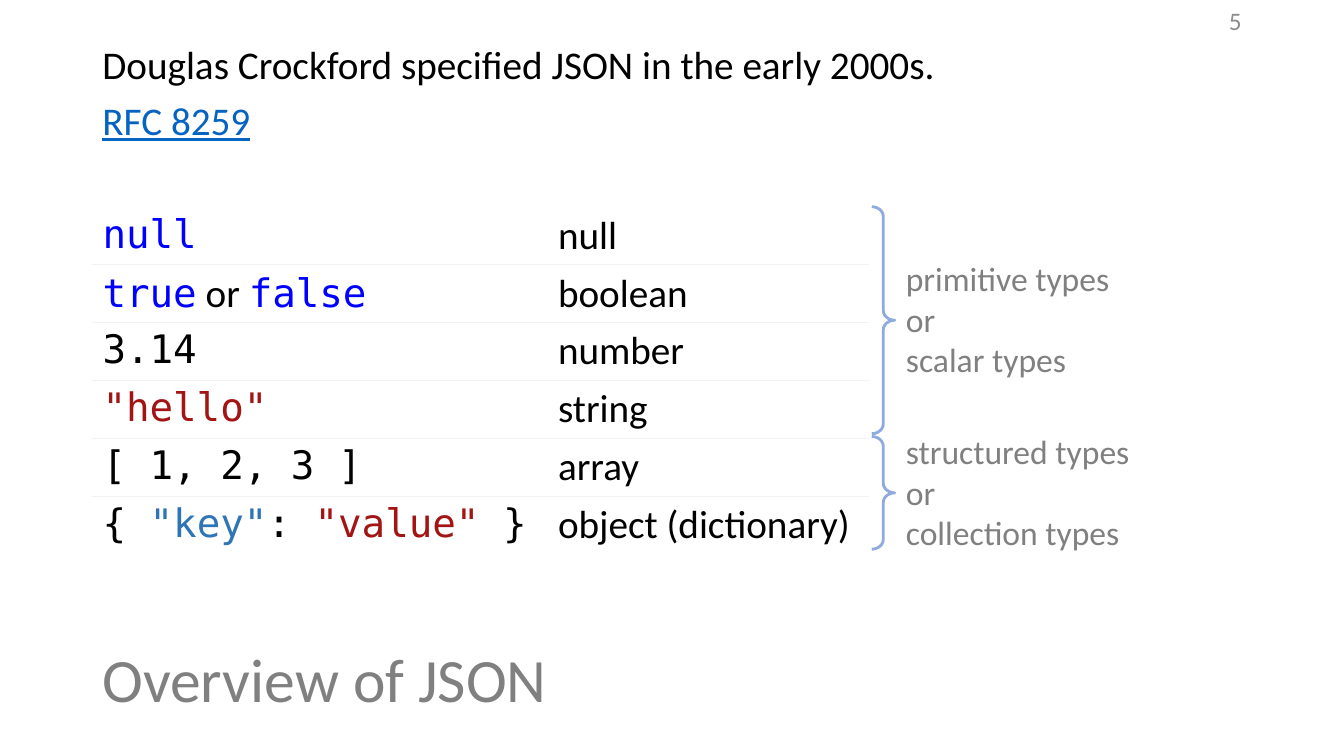
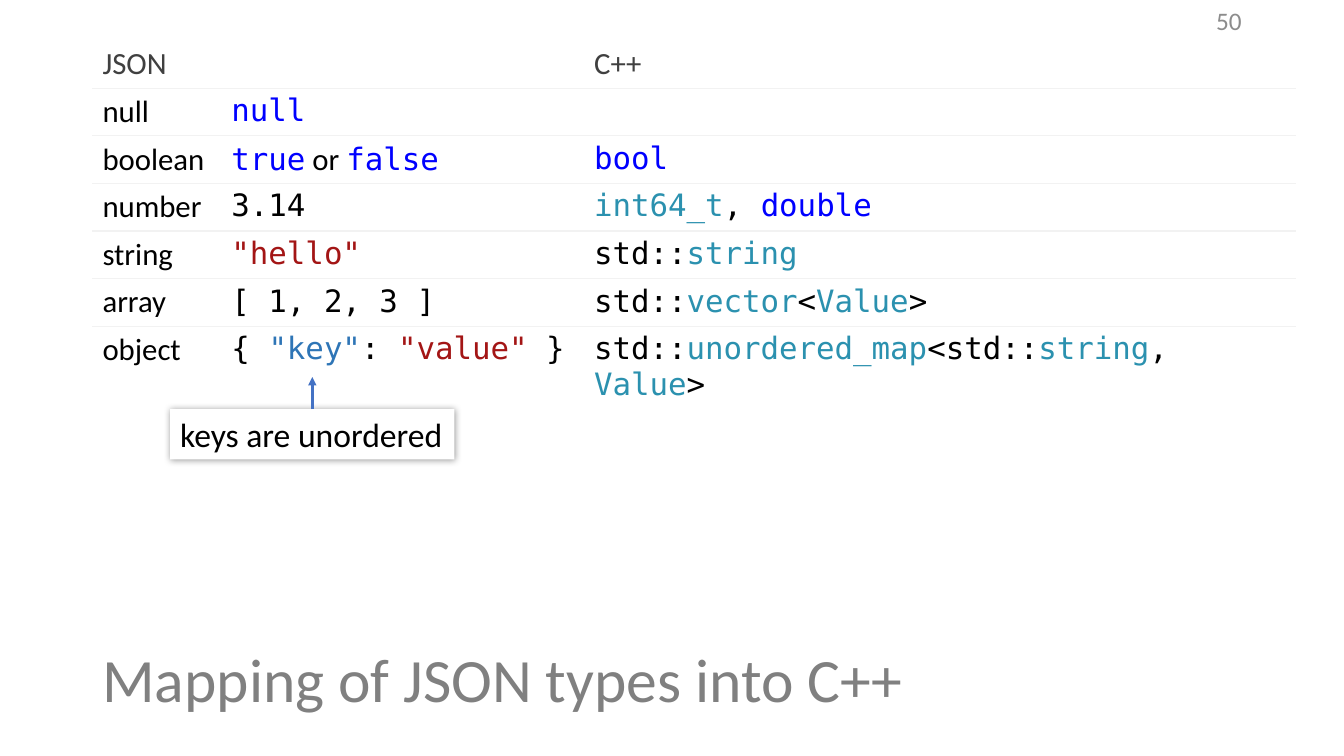
from dataclasses import dataclass
from typing import Optional

from lxml.etree import SubElement
from pptx import Presentation
from pptx.dml.color import RGBColor
from pptx.enum.shapes import MSO_CONNECTOR, MSO_SHAPE
from pptx.enum.text import MSO_ANCHOR, PP_ALIGN
from pptx.oxml.ns import qn
from pptx.util import Cm, Pt

# Colours and fonts
BLACK = RGBColor(0x00, 0x00, 0x00)
WHITE = RGBColor(0xFF, 0xFF, 0xFF)
GRAY = RGBColor(0x80, 0x80, 0x80)
DARK_GRAY = RGBColor(0x40, 0x40, 0x40)
NUMBER_GRAY = RGBColor(0x8C, 0x8C, 0x8C)
RULE_GRAY = RGBColor(0xF2, 0xF2, 0xF2)
LINK = RGBColor(0x05, 0x63, 0xC1)
KEYWORD = RGBColor(0x00, 0x00, 0xFF)
STRING = RGBColor(0xA3, 0x15, 0x15)
KEY = RGBColor(0x2E, 0x75, 0xB6)
TYPE = RGBColor(0x2B, 0x91, 0xAF)
BRACE = RGBColor(0x8F, 0xAA, 0xDC)
ARROW = RGBColor(0x44, 0x72, 0xC4)
SANS, MONO = "Calibri", "DejaVu Sans Mono"

# Shared geometry, in centimetres
LEFT = 2.33
TOP = 1.02
BODY_W = 29.21


@dataclass(frozen=True)
class Run:
    text: str
    color: RGBColor = BLACK
    font: str = SANS
    underline: Optional[bool] = None

    @property
    def style(self):
        return self.font, self.color, self.underline


@dataclass(frozen=True)
class Brace:
    top: float
    height: float
    label_top: float
    label_width: float
    label: tuple[str, ...]


Cell = list[Run]


def code(text: str, color: RGBColor = BLACK) -> Run:
    return Run(text, color, MONO)


# JSON values used on both slides
SAMPLES: dict[str, Cell] = {
    "null": [code("null", KEYWORD)],
    "boolean": [code("true", KEYWORD), Run(" or "), code("false", KEYWORD)],
    "number": [code("3.14")],
    "string": [code('"hello"', STRING)],
    "array": [code("[ 1, 2, 3 ]")],
    "object": [code("{ "), code('"key"', KEY), code(": "),
               code('"value"', STRING), code(" }")],
}

CPP_TYPES: dict[str, Cell] = {
    "null": [],
    "boolean": [code("bool", KEYWORD)],
    "number": [code("int64_t", TYPE), code(", "), code("double", KEYWORD)],
    "string": [code("std::"), code("string", TYPE)],
    "array": [code("std::"), code("vector", TYPE), code("<"),
              code("Value", TYPE), code(">")],
    "object": [code("std::"), code("unordered_map", TYPE), code("<std::"),
               code("string", TYPE), code(", "), code("Value", TYPE), code(">")],
}

BRACES = [
    Brace(5.21, 5.72, 6.38, 5.66, ("primitive types", "or", "scalar types")),
    Brace(11, 2.84, 10.74, 6.17, ("structured types", "or", "collection types")),
]


# Text helpers
def set_font(font, run: Run, size: float) -> None:
    font.name, font.size, font.underline = run.font, Pt(size), run.underline
    font.color.rgb = run.color


def write(p, runs: Cell, size: float) -> None:
    uniform = len({run.style for run in runs}) == 1
    if uniform:
        set_font(p.font, runs[0], size)
    for run in runs:
        r = p.add_run()
        r.text = run.text
        if not uniform:
            set_font(r.font, run, size)


def write_lines(tf, lines: list[Cell], size: float, spacing: Optional[float] = None,
                before: float = 0, align=PP_ALIGN.LEFT) -> None:
    for i, runs in enumerate(lines):
        p = tf.add_paragraph() if i else tf.paragraphs[0]
        p.alignment = align
        if spacing:
            p.line_spacing = spacing
        if i and before:
            p.space_before = Pt(before)
        write(p, runs, size)


def add_text(s, left: float, top: float, width: float, height: float,
             lines: list[Cell], size: float, anchor=MSO_ANCHOR.TOP,
             wrap: bool = True, **layout) -> None:
    tf = s.shapes.add_textbox(Cm(left), Cm(top), Cm(width), Cm(height)).text_frame
    tf.word_wrap = wrap
    tf.vertical_anchor = anchor
    write_lines(tf, lines, size, **layout)


# Slide frame: title at the bottom, number at the top right
def add_slide(prs, title: str, number: int):
    s = prs.slides.add_slide(prs.slide_layouts[6])
    add_text(s, LEFT, 15.37, BODY_W, 3.68, [[Run(title, GRAY)]], 44,
             MSO_ANCHOR.MIDDLE, spacing=0.9)
    add_text(s, 23.92, 0, 7.62, TOP, [[Run(str(number), NUMBER_GRAY)]], 18,
             MSO_ANCHOR.MIDDLE, align=PP_ALIGN.RIGHT)
    return s


# Table with thin rules between the rows only
def set_borders(cell, above: bool, below: bool) -> None:
    tcPr = cell._tc.get_or_add_tcPr()
    sides = {"a:lnL": False, "a:lnR": False, "a:lnT": above, "a:lnB": below}
    for i, (tag, visible) in enumerate(sides.items()):
        ln = tcPr.makeelement(qn(tag), {"w": str(Pt(1))})
        tcPr.insert(i, ln)
        if visible:
            fill = SubElement(ln, qn("a:solidFill"))
            SubElement(fill, qn("a:srgbClr"), val=str(RULE_GRAY))
        else:
            SubElement(ln, qn("a:noFill"))


def add_ruled_table(s, top: float, widths: list[float], row_height: float,
                    rows: list[list[Cell]], size: float) -> None:
    frame = s.shapes.add_table(len(rows), len(widths), Cm(LEFT), Cm(top),
                               Cm(sum(widths)), Cm(row_height * len(rows)))
    table = frame.table
    table.first_row = table.horz_banding = False
    for column, width in zip(table.columns, widths):
        column.width = Cm(width)
    for i, row in enumerate(rows):
        table.rows[i].height = Cm(row_height)
        for j, runs in enumerate(row):
            cell = table.cell(i, j)
            cell.fill.background()
            set_borders(cell, i > 0, i < len(rows) - 1)
            write(cell.text_frame.paragraphs[0], runs, size)


def add_brace(s, brace: Brace) -> None:
    sp = s.shapes.add_shape(MSO_SHAPE.RIGHT_BRACE, Cm(21.97), Cm(brace.top),
                            Cm(0.58), Cm(brace.height))
    sp.shadow.inherit = False
    sp.adjustments[0] = 0.42
    sp.fill.background()
    sp.line.color.rgb = BRACE
    sp.line.width = Pt(2)
    add_text(s, 22.58, brace.label_top, brace.label_width, 3.33,
             [[Run(line, GRAY)] for line in brace.label], 24, wrap=False)


# Callout box with a soft shadow and an arrow upwards
def add_callout(s, text: str) -> None:
    sp = s.shapes.add_shape(MSO_SHAPE.RECTANGLE, Cm(4.29), Cm(10.31),
                            Cm(7.16), Cm(1.27))
    sp.shadow.inherit = False
    sp.fill.solid()
    sp.fill.fore_color.rgb = WHITE
    sp.line.fill.background()
    effects = sp._element.spPr.find(qn("a:effectLst"))
    shadow = SubElement(effects, qn("a:outerShdw"), blurRad=str(Pt(5)),
                        dist="0", dir="0", algn="ctr", rotWithShape="0")
    color = SubElement(shadow, qn("a:srgbClr"), val=str(BLACK))
    SubElement(color, qn("a:alpha"), val="40000")
    sp.text_frame.word_wrap = False
    write_lines(sp.text_frame, [[Run(text)]], 24)

    x = sp.left + sp.width // 2
    arrow = s.shapes.add_connector(MSO_CONNECTOR.STRAIGHT, x, sp.top, x, Cm(9.5))
    arrow.begin_connect(sp, 0)
    arrow.line.color.rgb = ARROW
    arrow.line.width = Pt(2)
    SubElement(arrow.line._get_or_add_ln(), qn("a:tailEnd"), type="triangle")
    SubElement(arrow._element.spPr, qn("a:effectLst"))


def build_overview(prs) -> None:
    s = add_slide(prs, "Overview of JSON", 5)
    add_text(s, LEFT, TOP, BODY_W, 3,
             [[Run("Douglas Crockford specified JSON in the early 2000s.")],
              [Run("RFC 8259", LINK, underline=True)]],
             28, spacing=0.9, before=10)
    names = {"object": "object (dictionary)"}
    rows = [[sample, [Run(names.get(name, name))]] for name, sample in SAMPLES.items()]
    add_ruled_table(s, 5.21, [11.48, 8.1], 1.46, rows, 28)
    for brace in BRACES:
        add_brace(s, brace)


def build_mapping(prs) -> None:
    s = add_slide(prs, "Mapping of JSON types into C++", 50)
    header = [[Run("JSON", DARK_GRAY)], [], [Run("C++", DARK_GRAY)]]
    rows = [[[Run(name)], sample, CPP_TYPES[name]] for name, sample in SAMPLES.items()]
    add_ruled_table(s, TOP, [3.25, 9.14, 17.93], 1.2, [header, *rows], 22)
    add_callout(s, "keys are unordered")


def main() -> None:
    prs = Presentation()
    prs.slide_width, prs.slide_height = Cm(33.87), Cm(19.05)
    build_overview(prs)
    build_mapping(prs)
    prs.save("out.pptx")


if __name__ == "__main__":
    main()
